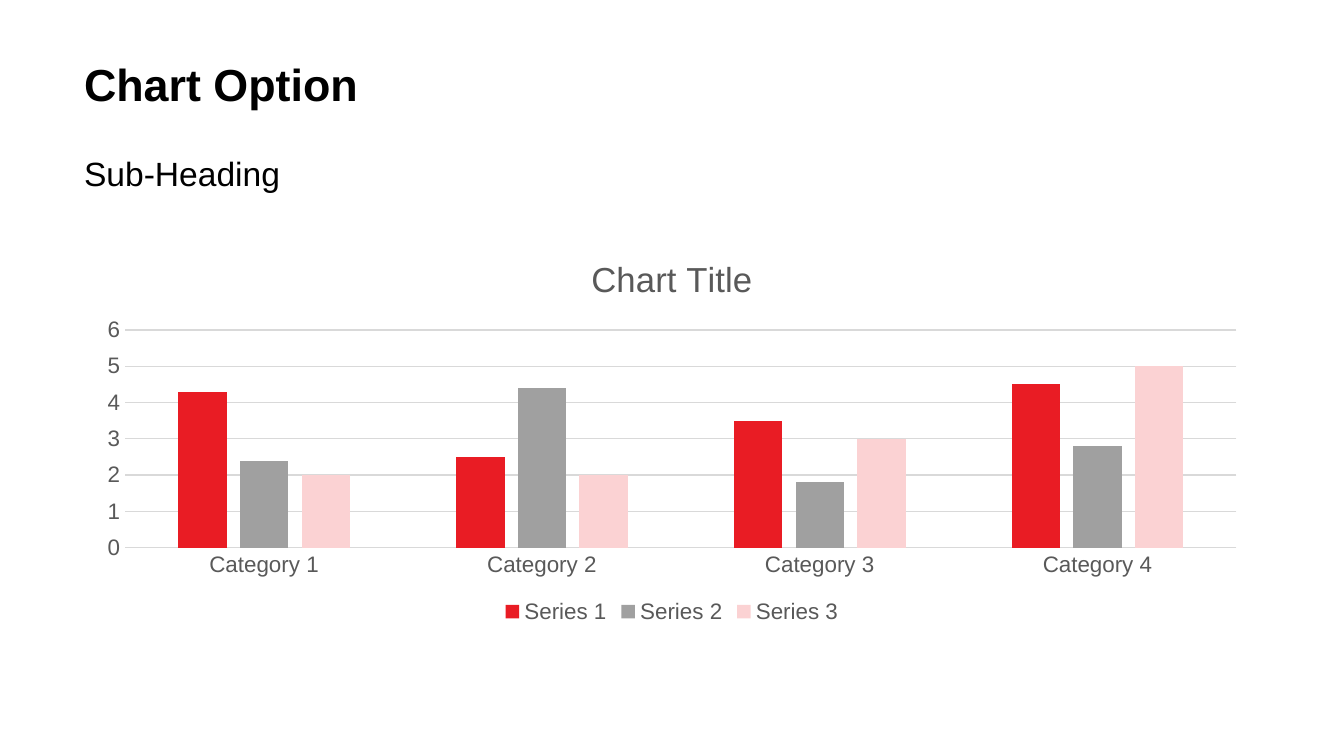
import pptx
import pptx.chart.data
import pptx.dml.color
import pptx.enum.chart
import pptx.enum.text
import pptx.oxml.ns
import pptx.util
from lxml import etree
from pptx.util import Inches

LEFT, WIDTH = Inches(10) // 16, Inches(8.75)
TEXT_GREY, LINE_GREY = "595959", "D9D9D9"


def color(hex_value):
    return pptx.dml.color.RGBColor.from_string(hex_value)


def set_font(font, size, hex_value, bold=False):
    font.name = "Arial"
    font.size = pptx.util.Pt(size)
    font.bold = bold
    font.color.rgb = color(hex_value)


deck = pptx.Presentation()
deck.slide_width = Inches(10)
deck.slide_height = deck.slide_width * 9 // 16
page = deck.slides.add_slide(deck.slide_layouts[1])

# Heading and sub-heading
headings = [
    (page.shapes.title, "Chart Option", 0.47, 0.7, 24, True),
    (page.placeholders[1], "Sub-Heading", 1.17, 0.47, 18, False),
]
for box, text, top, height, size, bold in headings:
    box.left, box.top, box.width, box.height = LEFT, Inches(top), WIDTH, Inches(height)
    frame = box.text_frame
    frame.text = text
    frame.word_wrap = True
    frame.auto_size = pptx.enum.text.MSO_AUTO_SIZE.NONE
    frame.vertical_anchor = pptx.enum.text.MSO_ANCHOR.TOP
    frame.margin_left = frame.margin_right = frame.margin_top = frame.margin_bottom = 0
    para = frame.paragraphs[0]
    para.alignment = pptx.enum.text.PP_ALIGN.LEFT
    para.line_spacing = 0.9
    para.space_before = pptx.util.Pt(0)
    properties = para._p.get_or_add_pPr()
    properties.set("marL", "0")
    properties.set("indent", "0")
    etree.SubElement(properties, pptx.oxml.ns.qn("a:buNone"))
    set_font(para.font, size, "000000", bold)

# Column chart
series_rows = [
    ("Series 1", (4.3, 2.5, 3.5, 4.5), "E91C24"),
    ("Series 2", (2.4, 4.4, 1.8, 2.8), "A0A0A0"),
    ("Series 3", (2, 2, 3, 5), "FBD2D3"),
]
data = pptx.chart.data.CategoryChartData()
data.categories = [f"Category {number}" for number in range(1, 5)]
for name, values, _ in series_rows:
    data.add_series(name, values)
chart = page.shapes.add_chart(
    pptx.enum.chart.XL_CHART_TYPE.COLUMN_CLUSTERED,
    LEFT, Inches(1.75), WIDTH, Inches(2.93), data,
).chart
set_font(chart.font, 10, "000000")

chart.has_title = True
chart.chart_title.text_frame.text = "Chart Title"
set_font(chart.chart_title.text_frame.paragraphs[0].font, 18.6, TEXT_GREY)
chart.chart_title.include_in_layout = False

chart.has_legend = True
chart.legend.position = pptx.enum.chart.XL_LEGEND_POSITION.BOTTOM
chart.legend.include_in_layout = False
set_font(chart.legend.font, 12, TEXT_GREY)

plot = chart.plots[0]
plot.gap_width, plot.overlap = 219, -27
plot.vary_by_categories = False
for series, (_, _, fill) in zip(plot.series, series_rows):
    series.format.fill.solid()
    series.format.fill.fore_color.rgb = color(fill)

for axis in (chart.category_axis, chart.value_axis):
    axis.major_tick_mark = axis.minor_tick_mark = pptx.enum.chart.XL_TICK_MARK.NONE
    set_font(axis.tick_labels.font, 12, TEXT_GREY)
chart.value_axis.format.line.fill.background()
chart.value_axis.has_major_gridlines = True
for line in (chart.category_axis.format.line, chart.value_axis.major_gridlines.format.line):
    line.color.rgb = color(LINE_GREY)
    line.width = pptx.util.Pt(0.75)

deck.save("out.pptx")
